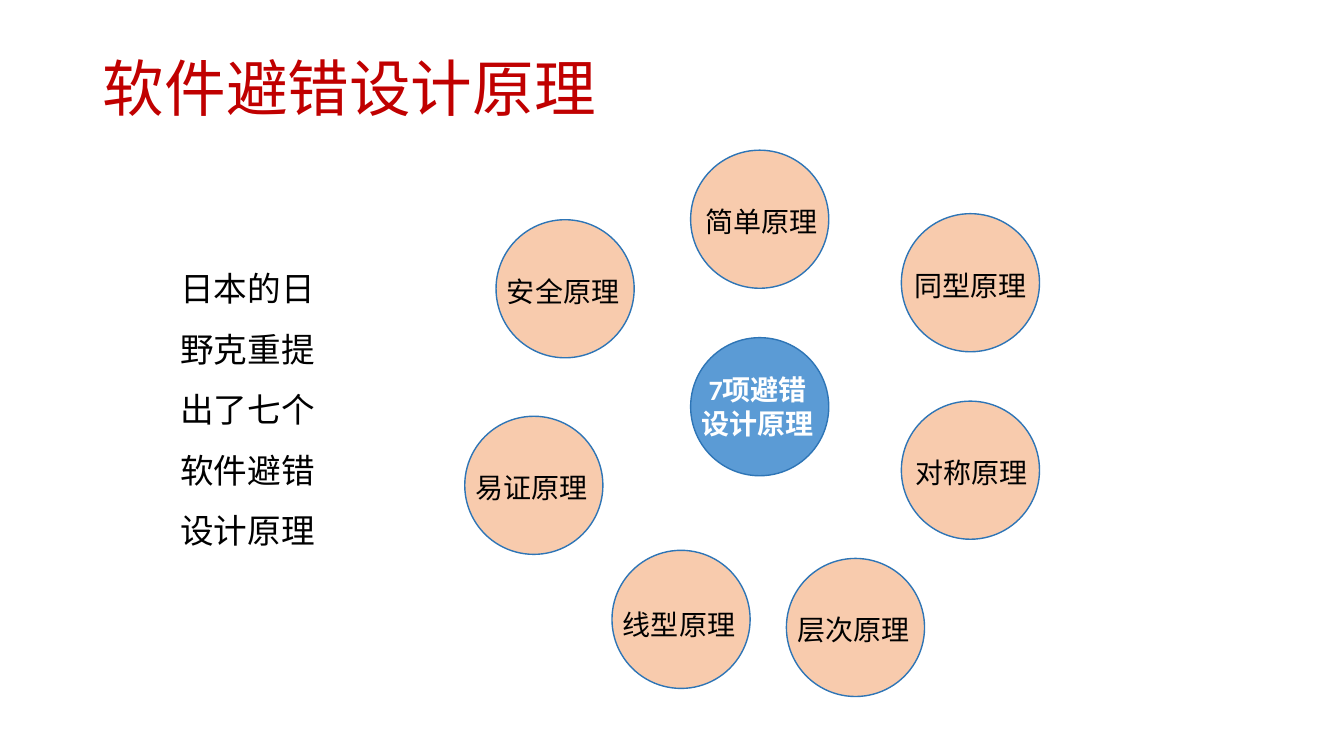
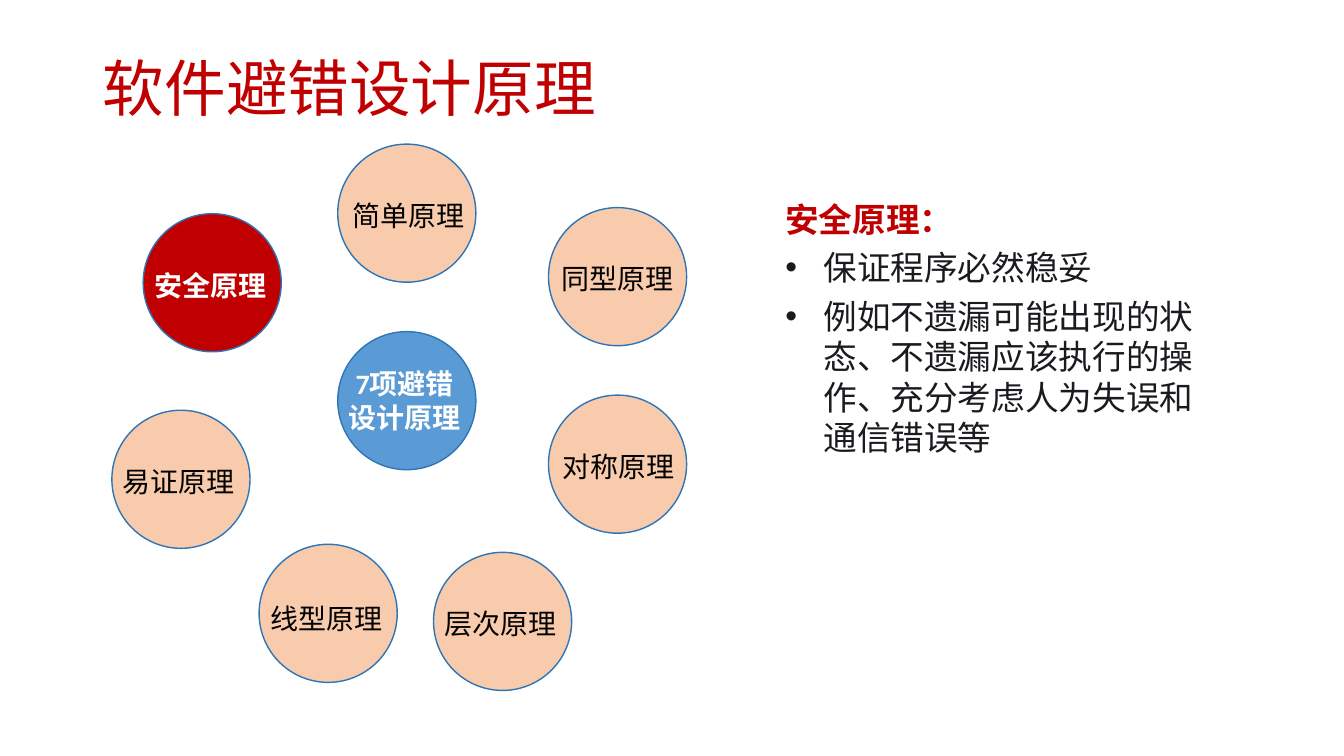
from lxml.etree import SubElement
from pptx import Presentation
from pptx.dml.color import RGBColor
from pptx.enum.lang import MSO_LANGUAGE_ID
from pptx.enum.shapes import MSO_SHAPE
from pptx.enum.text import MSO_ANCHOR, MSO_AUTO_SIZE, PP_ALIGN
from pptx.oxml.ns import qn
from pptx.util import Inches, Pt

TITLE = "软件避错设计原理"
HUB_LABEL = "7项避错设计原理"
INTRO = "日本的日野克重提出了七个软件避错设计原理"
DETAIL_HEADING = "安全原理："
DETAIL_POINTS = [
    "保证程序必然稳妥",
    "例如不遗漏可能出现的状态、不遗漏应该执行的操作、充分考虑人为失误和通信错误等",
]
PRINCIPLES = [
    # name, offset from hub, label offset from circle
]
PRINCIPLES = [
    ("安全原理", (-1.93, -1.17), (-0.04, 0.49)),
    ("简单原理", (0, -1.86), (0, 0.49)),
    ("同型原理", (2.09, -1.23), (-0.02, 0.49)),
    ("易证原理", (-2.24, 0.78), (-0.04, 0.49)),
    ("线型原理", (-0.78, 2.11), (-0.04, 0.52)),
    ("层次原理", (0.95, 2.19), (-0.04, 0.49)),
    ("对称原理", (2.09, 0.63), (-0.01, 0.49)),
]

FONT = "Calibri"
RED, BLUE, OUTLINE, PEACH = "C00000", "5B9BD5", "2E75B6", "F8CBAD"
BLACK, WHITE, INK = "000000", "FFFFFF", "191B1F"
DIAMETER, LABEL_WIDTH = 1.37, 1.41


def color(value):
    return RGBColor.from_string(value)


def style(para, size, value, bold=False):
    for span in para.runs:
        span.font.name = FONT
        span.font.size = Pt(size)
        span.font.bold = bold
        span.font.color.rgb = color(value)
        span.font.language_id = MSO_LANGUAGE_ID.SIMPLIFIED_CHINESE


def add_text(shapes, text, left, top, width, height):
    box = shapes.add_textbox(*map(Inches, (left, top, width, height)))
    frame = box.text_frame
    frame.word_wrap = True
    frame.auto_size = MSO_AUTO_SIZE.SHAPE_TO_FIT_TEXT
    frame.text = text
    return frame


def add_bullet(para):
    properties = para._p.get_or_add_pPr()
    properties.set("marL", str(Inches(0.38)))
    properties.set("indent", str(-Inches(0.38)))
    SubElement(properties, qn("a:buFont"), typeface="Arial")
    SubElement(properties, qn("a:buChar"), char="•")


def add_circle(shapes, name, left, top, label_offset, label_height, fill, ink, bold):
    circle = shapes.add_shape(
        MSO_SHAPE.OVAL, Inches(left), Inches(top), Inches(DIAMETER), Inches(DIAMETER)
    )
    circle.shadow.inherit = False
    circle.fill.solid()
    circle.fill.fore_color.rgb = color(fill)
    circle.line.color.rgb = color(OUTLINE)
    circle.line.width = Pt(1)
    dx, dy = label_offset
    frame = add_text(shapes, name, left + dx, top + dy, LABEL_WIDTH, label_height)
    para = frame.paragraphs[0]
    para.alignment = PP_ALIGN.CENTER
    style(para, 20, ink, bold)


def add_wheel(page, left, top, highlighted=None):
    hub = page.shapes.add_group_shape()
    add_circle(hub.shapes, HUB_LABEL, left, top, (-0.04, 0.3), 0.77, BLUE, WHITE, True)
    for name, (dx, dy), label_offset in PRINCIPLES:
        look = (RED, WHITE, True) if name == highlighted else (PEACH, BLACK, False)
        add_circle(page.shapes, name, left + dx, top + dy, label_offset, 0.44, *look)


def add_page(deck):
    page = deck.slides.add_slide(deck.slide_layouts[5])
    title = page.shapes.title
    title.left, title.top = Inches(0.92), Inches(0.4)
    title.width, title.height = Inches(11.5), Inches(1.02)
    frame = title.text_frame
    frame.text = TITLE
    frame.auto_size = MSO_AUTO_SIZE.NONE
    frame.vertical_anchor = MSO_ANCHOR.MIDDLE
    para = frame.paragraphs[0]
    para.alignment = PP_ALIGN.LEFT
    para.line_spacing = 0.9
    style(para, 44, RED)
    return page


def add_overview(deck):
    page = add_page(deck)
    add_wheel(page, 6.85, 3.35)
    para = add_text(page.shapes, INTRO, 1.69, 2.41, 1.8, 3.13).paragraphs[0]
    para.line_spacing = 1.5
    style(para, 24, BLACK)


def add_safety(deck):
    page = add_page(deck)
    add_wheel(page, 3.35, 3.29, "安全原理")
    frame = add_text(page.shapes, DETAIL_HEADING, 7.69, 1.92, 4.37, 2.69)
    style(frame.paragraphs[0], 24, RED, True)
    for point in DETAIL_POINTS:
        para = frame.add_paragraph()
        para.text = point
        add_bullet(para)
        para.space_before = Pt(6)
        style(para, 24, INK)


def main():
    deck = Presentation()
    deck.slide_width, deck.slide_height = Inches(13.33), Inches(7.5)
    add_overview(deck)
    add_safety(deck)
    deck.save("out.pptx")


if __name__ == "__main__":
    main()
